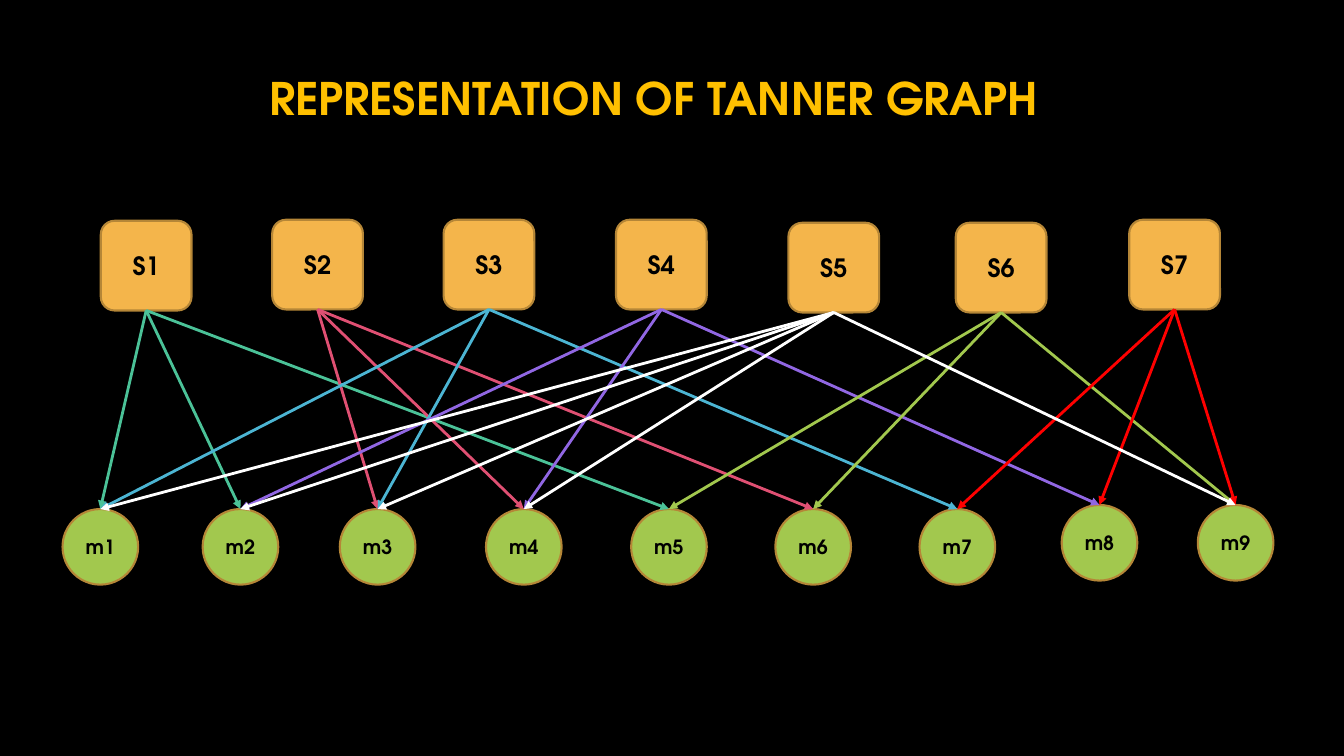
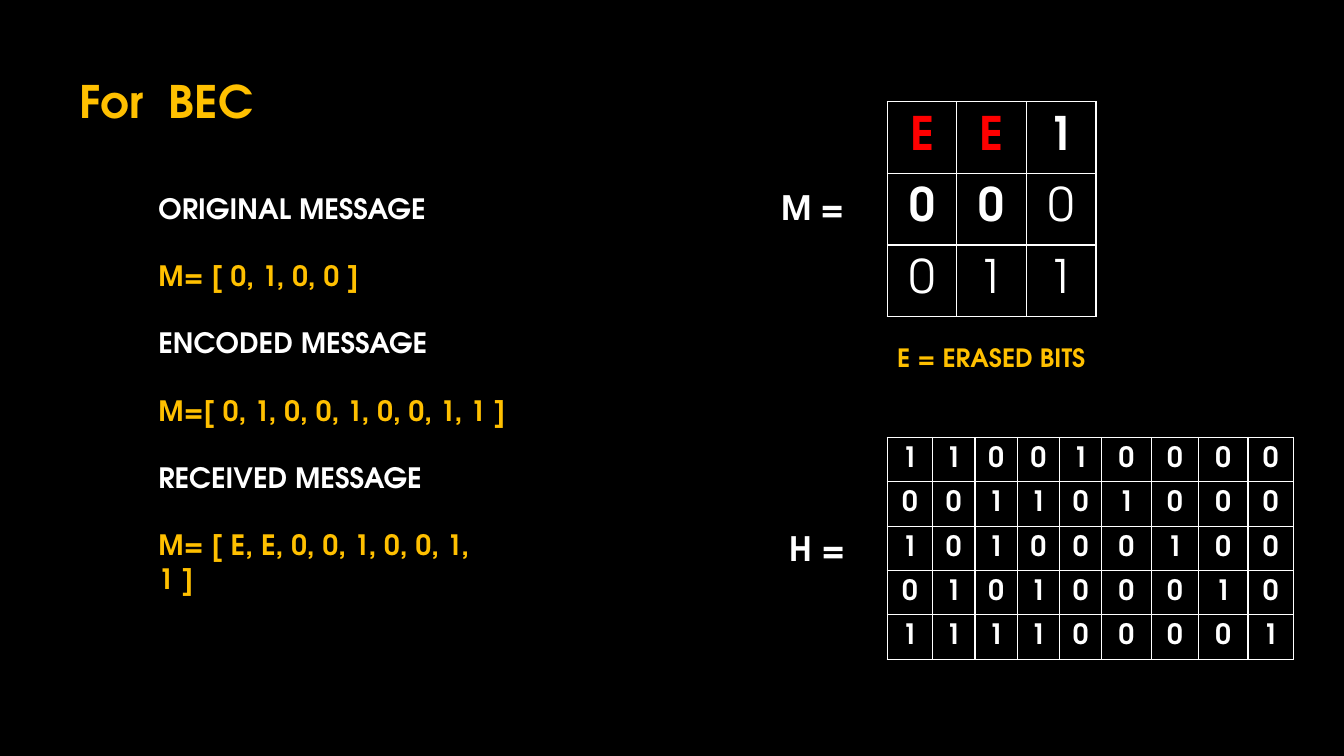
from dataclasses import dataclass

from lxml import etree
from pptx import Presentation
from pptx.dml.color import RGBColor
from pptx.enum import shapes, text
from pptx.oxml import ns
from pptx.util import Inches, Pt


@dataclass(frozen=True)
class Theme:
    font: str = "TeX Gyre Adventor"
    background: str = "000000"
    dark: str = "000000"
    light: str = "FFFFFF"
    accent: str = "FFC000"
    erased: str = "FF0000"
    check_fill: str = "F4B54B"
    bit_fill: str = "A2C84E"
    node_line: str = "B58637"
    title_size: int = 32
    matrix_size: int = 33
    label_size: int = 24
    body_size: int = 20
    note_size: int = 18
    bit_size: int = 14


T = Theme()
LEFT, CENTER = text.PP_ALIGN.LEFT, text.PP_ALIGN.CENTER


def style(p, size, color, align=LEFT, bold=True):
    p.alignment = align
    p.font.name = T.font
    p.font.size = Pt(size)
    p.font.bold = bold
    p.font.color.rgb = RGBColor.from_string(color)


def add_matrix(s, x, y, widths, row_height, cells, size, margins, spacing=0):
    """Draw a bordered matrix; each cell is a (text, color, bold) triple."""
    frame = s.shapes.add_table(len(cells), len(widths), Inches(x), Inches(y),
                               Inches(sum(widths)), Inches(row_height * len(cells)))
    table = frame.table
    table.first_row = table.horz_banding = False
    for column, width in zip(table.columns, widths):
        column.width = Inches(width)
    for i, row in enumerate(cells):
        table.rows[i].height = Inches(row_height)
        for j, (value, color, bold) in enumerate(row):
            cell = table.cell(i, j)
            cell.margin_left = cell.margin_right = Inches(margins[0])
            cell.margin_top = cell.margin_bottom = Inches(margins[1])
            cell.vertical_anchor = text.MSO_ANCHOR.MIDDLE
            tc_pr = cell._tc.get_or_add_tcPr()
            for side in ("lnL", "lnR", "lnT", "lnB"):
                ln = etree.SubElement(tc_pr, ns.qn(f"a:{side}"), w=str(Pt(1)))
                fill = etree.SubElement(ln, ns.qn("a:solidFill"))
                etree.SubElement(fill, ns.qn("a:srgbClr"), val=T.light)
            cell.fill.background()
            p = cell.text_frame.paragraphs[0]
            r = p.add_run()
            r.text = value
            if spacing:
                r._r.get_or_add_rPr().set("spc", str(spacing))
            style(p, size, color, CENTER, bold)


prs = Presentation()
prs.slide_width, prs.slide_height = Inches(13.33), Inches(7.5)
fill = prs.slide_master.background.fill
fill.solid()
fill.fore_color.rgb = RGBColor.from_string(T.background)

# Slides and titles
slides = []
for layout, title, x, y, width in (
        (5, "REPRESENTATION OF TANNER GRAPH", 2.57, 0.65, 7.96),
        (1, "For  BEC", 0.69, 0.68, 2.34)):
    s = prs.slides.add_slide(prs.slide_layouts[layout])
    sp = s.shapes.title
    sp.left, sp.top, sp.width, sp.height = map(Inches, (x, y, width, 0.64))
    tf = sp.text_frame
    tf.text = title
    tf.auto_size = text.MSO_AUTO_SIZE.NONE
    tf.vertical_anchor = text.MSO_ANCHOR.TOP
    style(tf.paragraphs[0], T.title_size, T.accent)
    slides.append(s)
graph_slide, bec_slide = slides

# Tanner graph: nodes
ROUND, OVAL = shapes.MSO_SHAPE.ROUNDED_RECTANGLE, shapes.MSO_SHAPE.OVAL
check_spots = [(1, 2.19), (2.7, 2.18), (4.4, 2.18), (6.11, 2.18),
               (7.82, 2.21), (9.48, 2.21), (11.2, 2.18)]
bit_spots = [(0.62, 5.05), (2.01, 5.05), (3.37, 5.05), (4.82, 5.05), (6.26, 5.05),
             (7.69, 5.05), (9.12, 5.05), (10.53, 5.01), (11.88, 5.01)]
nodes = {}
for prefix, spots, kind, width, height, color, size in (
        ("S", check_spots, ROUND, 0.9, 0.89, T.check_fill, T.note_size),
        ("m", bit_spots, OVAL, 0.75, 0.75, T.bit_fill, T.bit_size)):
    for number, (x, y) in enumerate(spots, 1):
        name = f"{prefix}{number}"
        sp = graph_slide.shapes.add_shape(kind, Inches(x), Inches(y),
                                          Inches(width), Inches(height))
        if kind == ROUND:
            sp.adjustments[0] = 0.154
        sp.shadow.inherit = False
        sp.fill.solid()
        sp.fill.fore_color.rgb = RGBColor.from_string(color)
        sp.line.color.rgb = RGBColor.from_string(T.node_line)
        sp.line.width = Pt(1.5)
        tf = sp.text_frame
        tf.text = name
        tf.vertical_anchor = text.MSO_ANCHOR.MIDDLE
        style(tf.paragraphs[0], size, T.dark, CENTER)
        nodes[name] = sp

# Tanner graph: edges from each check to its bits
edges = [("S1", "4BC298", (1, 2, 5)), ("S2", "E05073", (3, 4, 6)),
         ("S3", "4CB5D3", (1, 3, 7)), ("S4", "9167E3", (2, 4, 8)),
         ("S6", T.bit_fill, (5, 6, 9)), ("S7", T.erased, (7, 8, 9)),
         ("S5", T.light, (1, 2, 3, 4, 9))]
for check, color, bits in edges:
    for bit in bits:
        edge = graph_slide.shapes.add_connector(shapes.MSO_CONNECTOR.STRAIGHT, 0, 0, 0, 0)
        edge.begin_connect(nodes[check], 2)
        edge.end_connect(nodes[f"m{bit}"], 0)
        edge.line.color.rgb = RGBColor.from_string(color)
        edge.line.width = Pt(2)
        etree.SubElement(edge.line._get_or_add_ln(), ns.qn("a:tailEnd"), type="triangle")
        etree.SubElement(edge._element.spPr, ns.qn("a:effectLst"))

# Messages: headings and values alternate
messages = ["ORIGINAL MESSAGE", "M= [ 0, 1, 0, 0 ]",
            "ENCODED MESSAGE", "M=[ 0, 1, 0, 0, 1, 0, 0, 1, 1 ]",
            "RECEIVED MESSAGE", "M= [ E, E, 0, 0, 1, 0, 0, 1, 1 ]"]
sp = bec_slide.placeholders[1]
sp.left, sp.top, sp.width, sp.height = map(Inches, (1.47, 1.85, 3.68, 4.15))
tf = sp.text_frame
tf.auto_size = text.MSO_AUTO_SIZE.NONE
for i, message in enumerate(messages):
    p = tf.paragraphs[0] if i == 0 else tf.add_paragraph()
    p.text = message
    p.space_before = Pt(24 if i else 0)
    p_pr = p._p.get_or_add_pPr()
    p_pr.set("marL", "0")
    p_pr.set("indent", "0")
    etree.SubElement(p_pr, ns.qn("a:buNone"))
    style(p, T.body_size, T.accent if i % 2 else T.light)

# Matrix labels
for label, x, y, width, height, size, color in (
        ("M =", 7.65, 1.81, 0.9, 0.5, T.label_size, T.light),
        ("H =", 7.73, 5.19, 0.82, 0.5, T.label_size, T.light),
        ("E = ERASED BITS", 8.8, 3.35, 2.48, 0.4, T.note_size, T.accent)):
    sp = bec_slide.shapes.add_textbox(Inches(x), Inches(y), Inches(width), Inches(height))
    tf = sp.text_frame
    tf.text = label
    tf.word_wrap = size == T.note_size
    style(tf.paragraphs[0], size, color)

# Matrices: the first five received bits are bold
received = "EE1000011"
received_cells = [(bit, T.erased if bit == "E" else T.light, i < 5)
                  for i, bit in enumerate(received)]
add_matrix(bec_slide, 8.8, 1.01, [0.69] * 3, 0.7,
           [received_cells[i:i + 3] for i in range(0, 9, 3)],
           T.matrix_size, (0.18, 0.08))

parity = ["110010000", "001101000", "101000100", "010100010", "111100001"]
add_matrix(bec_slide, 8.8, 4.34, [0.45, 0.42, 0.42, 0.42, 0.42, 0.49, 0.47, 0.49, 0.45],
           0.44, [[(bit, T.light, True) for bit in row] for row in parity],
           T.body_size, (0.1, 0.05), spacing=50)

prs.save("out.pptx")
